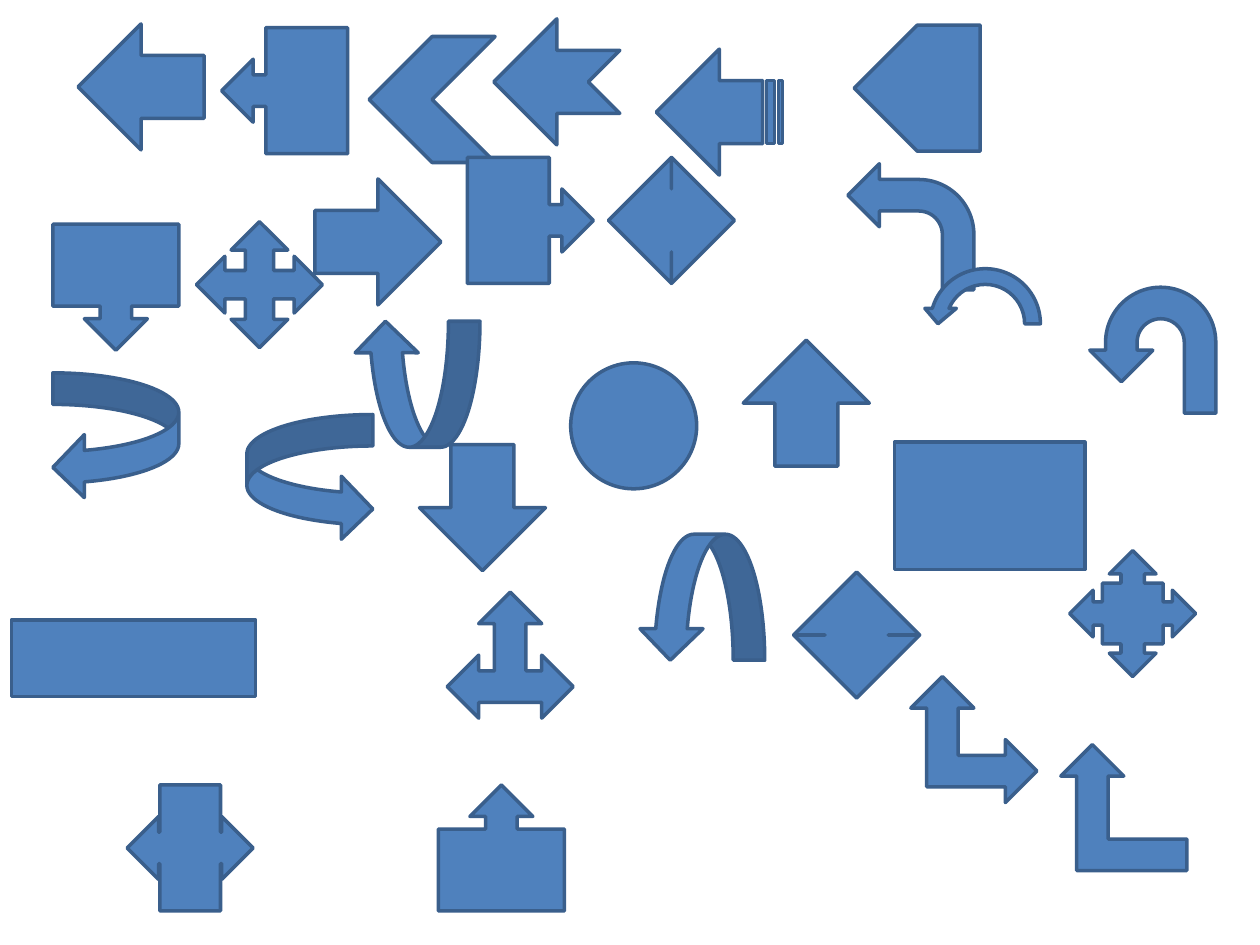
import dataclasses

import pptx
import pptx.dml.color
import pptx.enum.shapes
import pptx.util

KIND = pptx.enum.shapes.MSO_SHAPE
BLUE = pptx.dml.color.RGBColor(0x4F, 0x81, 0xBD)
EDGE = pptx.dml.color.RGBColor(0x3A, 0x5F, 0x8C)
COLS, ROWS = 100, 75


@dataclasses.dataclass(frozen=True)
class Mark:
    kind: pptx.enum.shapes.MSO_SHAPE
    col: float
    row: float
    wide: float = 10
    high: float = 10


MARKS = [
    Mark(KIND.RECTANGLE, 0.9, 49.2, 19.4, 6.1),
    Mark(KIND.OVAL, 45.3, 28.8),
    Mark(KIND.RECTANGLE, 71, 35.1, 15.1, 10.1),
    Mark(KIND.LEFT_ARROW, 25, 14.2),
    Mark(KIND.UP_ARROW, 59, 27),
    Mark(KIND.DOWN_ARROW, 33.3, 35.3),
    Mark(KIND.LEFT_RIGHT_ARROW, 48.3, 12.5),
    Mark(KIND.UP_DOWN_ARROW, 63, 45.4),
    Mark(KIND.QUAD_ARROW, 15.6, 17.6),
    Mark(KIND.LEFT_RIGHT_UP_ARROW, 35.5, 47),
    Mark(KIND.BENT_ARROW, 67.3, 13),
    Mark(KIND.U_TURN_ARROW, 86.5, 22.8),
    Mark(KIND.LEFT_UP_ARROW, 72.3, 53.7),
    Mark(KIND.BENT_UP_ARROW, 84.2, 59.1),
    Mark(KIND.CURVED_RIGHT_ARROW, 4.2, 29.6),
    Mark(KIND.CURVED_LEFT_ARROW, 19.6, 32.9),
    Mark(KIND.CURVED_DOWN_ARROW, 50.7, 42.4),
    Mark(KIND.CURVED_UP_ARROW, 28.1, 25.5),
    Mark(KIND.STRIPED_RIGHT_ARROW, 52.1, 3.9),
    Mark(KIND.NOTCHED_RIGHT_ARROW, 39.2, 1.5),
    Mark(KIND.PENTAGON, 67.8, 2),
    Mark(KIND.CHEVRON, 29.3, 2.9),
    Mark(KIND.RIGHT_ARROW_CALLOUT, 17.6, 2.2),
    Mark(KIND.DOWN_ARROW_CALLOUT, 4.2, 17.8),
    Mark(KIND.LEFT_ARROW_CALLOUT, 37.1, 12.5),
    Mark(KIND.UP_ARROW_CALLOUT, 34.8, 62.3),
    Mark(KIND.LEFT_RIGHT_ARROW_CALLOUT, 10.1, 62.3),
    Mark(KIND.QUAD_ARROW_CALLOUT, 84.9, 43.7),
    Mark(KIND.CIRCULAR_ARROW, 73.2, 20.7),
    Mark(KIND.RIGHT_ARROW, 6.2, 1.9),
]


def draw(slide: pptx.slide.Slide, mark: Mark, cell: float, band: float) -> None:
    shape = slide.shapes.add_shape(
        mark.kind,
        round(mark.col * cell),
        round(mark.row * band),
        round(mark.wide * cell),
        round(mark.high * band),
    )
    shape.element.spPr.xfrm.set("flipH", "1")
    shape.shadow.inherit = False
    shape.fill.solid()
    shape.fill.fore_color.rgb = BLUE
    shape.line.color.rgb = EDGE
    shape.line.width = pptx.util.Pt(2)


def main() -> None:
    deck = pptx.Presentation()
    deck.slide_width = pptx.util.Inches(10)
    deck.slide_height = pptx.util.Inches(7.5)
    slide = deck.slides.add_slide(deck.slide_layouts[6])
    for mark in MARKS:
        draw(slide, mark, deck.slide_width / COLS, deck.slide_height / ROWS)
    deck.save("out.pptx")


if __name__ == "__main__":
    main()
